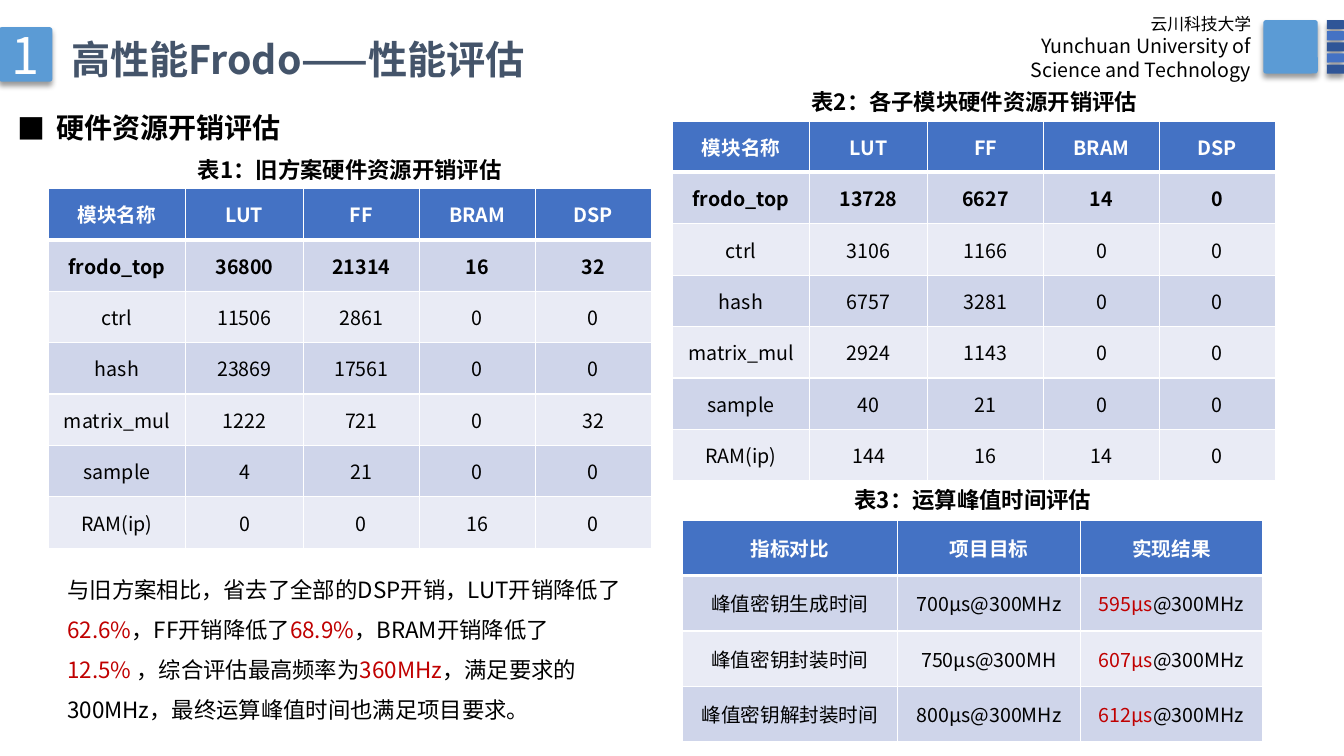
from dataclasses import dataclass

from lxml import etree
from pptx import Presentation, util as u
from pptx.dml import color
from pptx.enum import lang, shapes, text
from pptx.oxml import ns


@dataclass(frozen=True)
class Theme:
    """Colours, type sizes and font of the slide."""

    font: str = "Noto Sans CJK SC"
    black: str = "000000"
    white: str = "FFFFFF"
    title: str = "44546A"
    accent: str = "C00000"
    badge: str = "5B9BD5"
    header: str = "4472C4"
    stripe: str = "2F5597"
    bands: tuple = ("CFD5EA", "E9EBF5")
    badge_size: int = 36
    title_size: int = 28
    heading_size: int = 20
    body_size: int = 16
    table_size: int = 14
    small_size: int = 12


THEME = Theme()
CENTER = text.PP_ALIGN.CENTER
RESOURCE_HEADER = ["模块名称", "LUT", "FF", "BRAM", "DSP"]
RESOURCE_WIDTHS = [1.36, 1.17, 1.15, 1.15, 1.15]
OLD_RESOURCES = [
    RESOURCE_HEADER,
    ["frodo_top", "36800", "21314", "16", "32"],
    ["ctrl", "11506", "2861", "0", "0"],
    ["hash", "23869", "17561", "0", "0"],
    ["matrix_mul", "1222", "721", "0", "32"],
    ["sample", "4", "21", "0", "0"],
    ["RAM(ip)", "0", "0", "16", "0"],
]
NEW_RESOURCES = [
    RESOURCE_HEADER,
    ["frodo_top", "13728", "6627", "14", "0"],
    ["ctrl", "3106", "1166", "0", "0"],
    ["hash", "6757", "3281", "0", "0"],
    ["matrix_mul", "2924", "1143", "0", "0"],
    ["sample", "40", "21", "0", "0"],
    ["RAM(ip)", "144", "16", "14", "0"],
]
PEAK_TIMES = [
    ["指标对比", "项目目标", "实现结果"],
    ["峰值密钥生成时间", "700μs@300MHz", "|595μs|@300MHz"],
    ["峰值密钥封装时间", "750μs@300MH", "|607μs|@300MHz"],
    ["峰值密钥解封装时间", "800μs@300MHz", "|612μs|@300MHz"],
]
SUMMARY = (
    "与旧方案相比，省去了全部的DSP开销，LUT开销降低了|62.6%|，FF开销降低了|68.9%|"
    "，BRAM开销降低了|12.5%| ，综合评估最高频率为|360MHz"
    "|，满足要求的300MHz，最终运算峰值时间也满足项目要求。"
)


def rgb(value):
    """Turn a hex string into a colour."""
    return color.RGBColor.from_string(value)


def child(parent, tag, **attributes):
    """Append a DrawingML element to a parent."""
    return etree.SubElement(parent, ns.qn(tag), attributes)


def write(paragraph, words, size, ink=THEME.black, bold=False, align=None, spacing=None):
    """Fill a paragraph; words between bars take the accent colour."""
    paragraph.alignment = align
    paragraph.line_spacing = spacing
    for position, part in enumerate(words.split("|")):
        if not part:
            continue
        run = paragraph.add_run()
        run.text = part
        run.font.name = THEME.font
        run.font.size = u.Pt(size)
        run.font.bold = bold
        run.font.language_id = lang.MSO_LANGUAGE_ID.SIMPLIFIED_CHINESE
        run.font.color.rgb = rgb(THEME.accent if position % 2 else ink)
        child(run.font._element, "a:ea", typeface=THEME.font)


def add_textbox(slide, box):
    """Add a wrapping text box and return its text frame."""
    frame = slide.shapes.add_textbox(*map(u.Inches, box)).text_frame
    frame.word_wrap = True
    frame.auto_size = text.MSO_AUTO_SIZE.SHAPE_TO_FIT_TEXT
    return frame


def add_tile(slide, box, fill):
    """Add a rounded tile with a soft shadow below it."""
    tile = slide.shapes.add_shape(
        shapes.MSO_SHAPE.ROUNDED_RECTANGLE, *map(u.Inches, box))
    tile.adjustments[0] = 0.05
    tile.fill.solid()
    tile.fill.fore_color.rgb = rgb(fill)
    tile.line.fill.background()
    tile.shadow.inherit = False
    effects = tile._element.spPr.find(ns.qn("a:effectLst"))
    shadow = child(effects, "a:outerShdw", blurRad=str(u.Pt(4)), dist=str(u.Pt(3)),
                   dir="5400000", algn="t", rotWithShape="0")
    child(child(shadow, "a:srgbClr", val=THEME.black), "a:alpha", val="40000")
    return tile


def add_caption(slide, box, words):
    """Add a centred table caption."""
    write(add_textbox(slide, box).paragraphs[0], words, THEME.body_size,
          bold=True, align=CENTER, spacing=0.9)


def add_borders(cell, top, bottom):
    """Draw white borders around a cell."""
    properties = cell._tc.get_or_add_tcPr()
    edges = (("a:lnL", 1), ("a:lnR", 1), ("a:lnT", top), ("a:lnB", bottom))
    for position, (tag, width) in enumerate(edges):
        edge = child(properties, tag, w=str(u.Pt(width)))
        child(child(edge, "a:solidFill"), "a:srgbClr", val=THEME.white)
        properties.insert(position, edge)


def add_grid(slide, left, top, widths, row_height, rows, bold_rows):
    """Add a banded table whose first row is the header."""
    grid = slide.shapes.add_table(
        len(rows), len(widths), u.Inches(left), u.Inches(top),
        u.Inches(sum(widths)), u.Inches(row_height * len(rows))).table
    for column, width in zip(grid.columns, widths):
        column.width = u.Inches(width)
    for r, values in enumerate(rows):
        grid.rows[r].height = u.Inches(row_height)
        for c, value in enumerate(values):
            cell = grid.cell(r, c)
            cell.vertical_anchor = text.MSO_ANCHOR.MIDDLE
            cell.fill.solid()
            cell.fill.fore_color.rgb = rgb(THEME.bands[(r - 1) % 2] if r else THEME.header)
            add_borders(cell, 3 if r == 1 else 1, 1 if r else 3)
            write(cell.text_frame.paragraphs[0], value, THEME.table_size,
                  THEME.black if r else THEME.white, r < bold_rows, CENTER)


def add_header(slide):
    """Add the section number, title and school name."""
    badge = add_tile(slide, (-0.01, 0.27, 0.53, 0.54), THEME.badge).text_frame
    badge.vertical_anchor = text.MSO_ANCHOR.MIDDLE
    write(badge.paragraphs[0], "1", THEME.badge_size, THEME.white, align=CENTER)
    title = add_textbox(slide, (0.61, 0.3, 7.6, 0.57))
    write(title.paragraphs[0], "高性能Frodo——性能评估", THEME.title_size, THEME.title, True)
    for stripe in range(5):
        add_tile(slide, (13.16, 0.2 + 0.11 * stripe, 0.17, 0.09),
                 THEME.header if stripe % 2 else THEME.stripe)
    add_tile(slide, (12.53, 0.2, 0.54, 0.53), THEME.badge)
    school = add_textbox(slide, (6.78, 0.09, 5.73, 0.77))
    right = text.PP_ALIGN.RIGHT
    write(school.paragraphs[0], "云川科技大学", THEME.small_size, align=right)
    for line in ("Yunchuan University of", "Science and Technology"):
        write(school.add_paragraph(), line, THEME.table_size, align=right)


def add_heading(slide):
    """Add the bulleted section heading."""
    heading = add_textbox(slide, (0.08, 0.88, 7.43, 0.55)).paragraphs[0]
    write(heading, "硬件资源开销评估", THEME.heading_size, bold=True,
          align=text.PP_ALIGN.JUSTIFY, spacing=1.5)
    properties = heading._p.get_or_add_pPr()
    properties.set("marL", str(u.Inches(0.38)))
    properties.set("indent", str(u.Inches(-0.38)))
    child(properties, "a:buFont", typeface=THEME.font)
    child(properties, "a:buChar", char="■")


def main():
    """Build the slide and save it."""
    deck = Presentation()
    deck.slide_width, deck.slide_height = u.Inches(13.33), u.Inches(7.5)
    slide = deck.slides.add_slide(deck.slide_layouts[6])
    add_header(slide)
    add_heading(slide)
    add_grid(slide, 6.67, 1.2, RESOURCE_WIDTHS, 0.51, NEW_RESOURCES, 2)
    add_caption(slide, (6.67, 0.86, 5.99, 0.34), "表2：各子模块硬件资源开销评估")
    add_grid(slide, 0.48, 1.87, RESOURCE_WIDTHS, 0.51, OLD_RESOURCES, 2)
    add_caption(slide, (0.59, 1.53, 5.76, 0.34), "表1：旧方案硬件资源开销评估")
    summary = add_textbox(slide, (0.57, 5.53, 5.78, 1.67))
    write(summary.paragraphs[0], SUMMARY, THEME.body_size, spacing=1.5)
    add_grid(slide, 6.77, 5.16, [2.13, 1.82, 1.8], 0.55, PEAK_TIMES, 1)
    add_caption(slide, (6.77, 4.8, 5.76, 0.34), "表3：运算峰值时间评估")
    deck.save("out.pptx")


if __name__ == "__main__":
    main()
